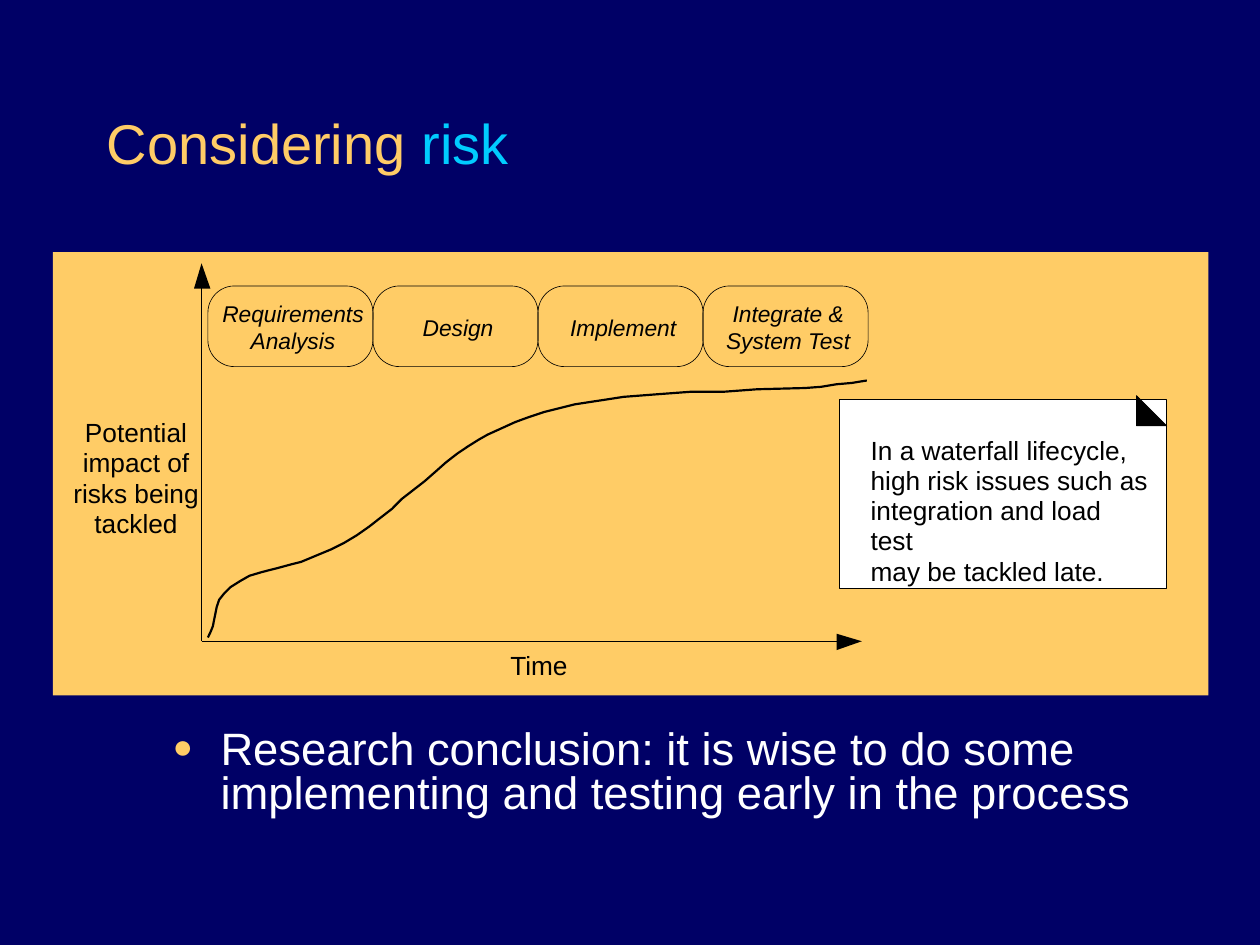
import pptx
import pptx.dml.color
import pptx.enum.shapes
import pptx.enum.text
import pptx.oxml
import pptx.oxml.ns
import pptx.util

Inches = pptx.util.Inches
Shapes = pptx.enum.shapes.MSO_SHAPE
Align = pptx.enum.text.PP_ALIGN
Anchor = pptx.enum.text.MSO_ANCHOR
NAMESPACE = pptx.oxml.ns.nsdecls("a")
COLORS = {
    "navy": "000066",
    "sand": "FFCC66",
    "cyan": "00CCFF",
    "white": "FFFFFF",
    "black": "000000",
}
PHASES = ["Requirements\nAnalysis", "Design", "Implement", "Integrate &\nSystem Test"]
RISK_CURVE = [
    (1.65, 5.06), (1.67, 5.02), (1.69, 4.97), (1.7, 4.92), (1.71, 4.87),
    (1.72, 4.82), (1.74, 4.76), (1.78, 4.71), (1.83, 4.66), (1.91, 4.61),
    (1.98, 4.57), (2.08, 4.54), (2.2, 4.51), (2.31, 4.48), (2.39, 4.46),
    (2.51, 4.41), (2.63, 4.36), (2.73, 4.31), (2.83, 4.25), (2.93, 4.18),
    (3.02, 4.11), (3.11, 4.04), (3.19, 3.96), (3.28, 3.89), (3.37, 3.82),
    (3.45, 3.75), (3.54, 3.67), (3.63, 3.6), (3.72, 3.54), (3.8, 3.49),
    (3.87, 3.45), (3.98, 3.4), (4.09, 3.35), (4.2, 3.31), (4.32, 3.27),
    (4.44, 3.24), (4.56, 3.21), (4.69, 3.19), (4.82, 3.17), (4.95, 3.15),
    (5.21, 3.13), (5.48, 3.11), (5.74, 3.11), (6.01, 3.09), (6.39, 3.08),
    (6.52, 3.07), (6.64, 3.05), (6.76, 3.04), (6.88, 3.02),
]


def color(name):
    """Return the named colour."""
    return pptx.dml.color.RGBColor.from_string(COLORS[name])


def add_run(paragraph, text, *, size=15, ink="black", italic=False):
    """Add formatted text to a paragraph."""
    run = paragraph.add_run()
    run.text = text
    run.font.name = "Arial"
    run.font.size = pptx.util.Pt(size)
    run.font.italic = italic
    run.font.color.rgb = color(ink)


class SlideBuilder:
    """Hold the slide and its line style, and add elements to it."""

    def __init__(self, slide, hairline=0.37):
        """Start on a slide with a navy background."""
        self.slide = slide
        self.hairline = hairline
        slide.background.fill.solid()
        slide.background.fill.fore_color.rgb = color("navy")

    def paint(self, shape, fill, line, width=None):
        """Set the fill and line of a shape."""
        shape.shadow.inherit = False
        if fill:
            shape.fill.solid()
            shape.fill.fore_color.rgb = color(fill)
        else:
            shape.fill.background()
        if line:
            shape.line.color.rgb = color(line)
            shape.line.width = pptx.util.Pt(width or self.hairline)
        else:
            shape.line.fill.background()

    def box(self, kind, bounds, fill=None, line=None):
        """Add a preset shape."""
        shape = self.slide.shapes.add_shape(kind, *map(Inches, bounds))
        self.paint(shape, fill, line)
        return shape

    def outline(self, points, fill=None, line=None, width=None):
        """Add a closed area when filled, or an open curve."""
        start, *rest = [tuple(map(Inches, point)) for point in points]
        builder = self.slide.shapes.build_freeform(*start)
        builder.add_line_segments(rest, close=bool(fill))
        self.paint(builder.convert_to_shape(), fill, line, width)

    def axis(self, start, end, arrow):
        """Add an axis line with its arrowhead."""
        connector = self.slide.shapes.add_connector(
            pptx.enum.shapes.MSO_CONNECTOR.STRAIGHT, *map(Inches, start + end))
        connector.line.color.rgb = color("black")
        connector.line.width = pptx.util.Pt(self.hairline)
        properties = connector._element.spPr
        properties.append(pptx.oxml.parse_xml(f"<a:effectLst {NAMESPACE}/>"))
        self.outline(arrow, fill="black")

    def frame(self, shape, margins=(0, 0, 0, 0), wrap=False, anchor=Anchor.TOP):
        """Set up the text frame of a shape and return it."""
        frame = shape.text_frame
        frame.margin_left, frame.margin_top, frame.margin_right, frame.margin_bottom = map(
            Inches, margins)
        frame.word_wrap = wrap
        frame.vertical_anchor = anchor
        return frame

    def textbox(self, bounds, **layout):
        """Add a text box and return its frame."""
        return self.frame(self.slide.shapes.add_textbox(*map(Inches, bounds)), **layout)

    def lines(self, frame, text, align=Align.LEFT, **style):
        """Fill a frame with one paragraph for each line of text."""
        for index, line in enumerate(text.split("\n")):
            paragraph = frame.add_paragraph() if index else frame.paragraphs[0]
            paragraph.alignment = align
            paragraph.line_spacing = 0.96
            add_run(paragraph, line, **style)

    def bullet(self, paragraph, indent):
        """Give a paragraph a hanging round bullet."""
        properties = paragraph._p.get_or_add_pPr()
        properties.set("marL", str(Inches(indent)))
        properties.set("indent", str(-Inches(indent)))
        for markup in (
            f'<a:buClr {NAMESPACE}><a:srgbClr val="{COLORS["sand"]}"/></a:buClr>',
            f'<a:buSzPct {NAMESPACE} val="75000"/>',
            f'<a:buFont {NAMESPACE} typeface="Arial"/>',
            f'<a:buChar {NAMESPACE} char="●"/>',
        ):
            properties.append(pptx.oxml.parse_xml(markup))


def main():
    """Build and save the risk slide."""
    presentation = pptx.Presentation()
    presentation.slide_width, presentation.slide_height = Inches(10), Inches(7.5)
    builder = SlideBuilder(presentation.slides.add_slide(presentation.slide_layouts[6]))

    title = builder.textbox((0.75, 0.5, 8.84, 1.25), margins=(0.1, 0.05, 0.1, 0.05),
                            wrap=True, anchor=Anchor.MIDDLE).paragraphs[0]
    add_run(title, "Considering ", size=32, ink="sand")
    add_run(title, "risk", size=32, ink="cyan")

    builder.box(Shapes.RECTANGLE, (0.42, 2, 9.17, 3.52), fill="sand")
    builder.box(Shapes.RECTANGLE, (6.66, 3.17, 2.6, 1.5), fill="white", line="black")
    builder.lines(builder.textbox((6.91, 3.46, 2.22, 0.93)),
                  "In a waterfall lifecycle,\nhigh risk issues such as\n"
                  "integration and load test\nmay be tackled late.")
    builder.outline([(8.93, 3.22), (9.18, 3.46), (9.18, 3.22)], fill="white", line="white")
    builder.outline([(9.26, 3.38), (9.02, 3.14), (9.02, 3.38)], fill="black", line="black")

    builder.lines(builder.textbox((4.05, 5.17, 0.46, 0.25)), "Time")
    builder.lines(builder.textbox((0.58, 3.32, 1, 0.93)),
                  "Potential\nimpact of\nrisks being\ntackled", align=Align.CENTER)
    builder.axis((1.6, 5.09), (6.65, 5.09), [(6.64, 5.03), (6.84, 5.09), (6.64, 5.16)])
    builder.axis((1.6, 5.09), (1.6, 2.27), [(1.54, 2.29), (1.6, 2.09), (1.67, 2.29)])
    builder.outline(RISK_CURVE, line="black", width=1.25)

    phase_width = 1.31
    for index, phase in enumerate(PHASES):
        shape = builder.box(Shapes.ROUNDED_RECTANGLE,
                            (1.65 + index * phase_width, 2.27, phase_width, 0.64), line="black")
        shape.adjustments[0] = 0.33
        frame = builder.frame(shape, margins=(0.04, 0.03, 0, 0), anchor=Anchor.MIDDLE)
        builder.lines(frame, phase, align=Align.CENTER, size=13, italic=True)

    conclusion = builder.textbox((1.17, 5.75, 8.09, 1), margins=(0.2, 0.05, 0.2, 0.05),
                                 wrap=True).paragraphs[0]
    conclusion.line_spacing = 0.8
    builder.bullet(conclusion, 0.38)
    add_run(conclusion, "Research conclusion: it is wise to do some implementing "
            "and testing early in the process", size=25.9, ink="white")

    presentation.save("out.pptx")


if __name__ == "__main__":
    main()
